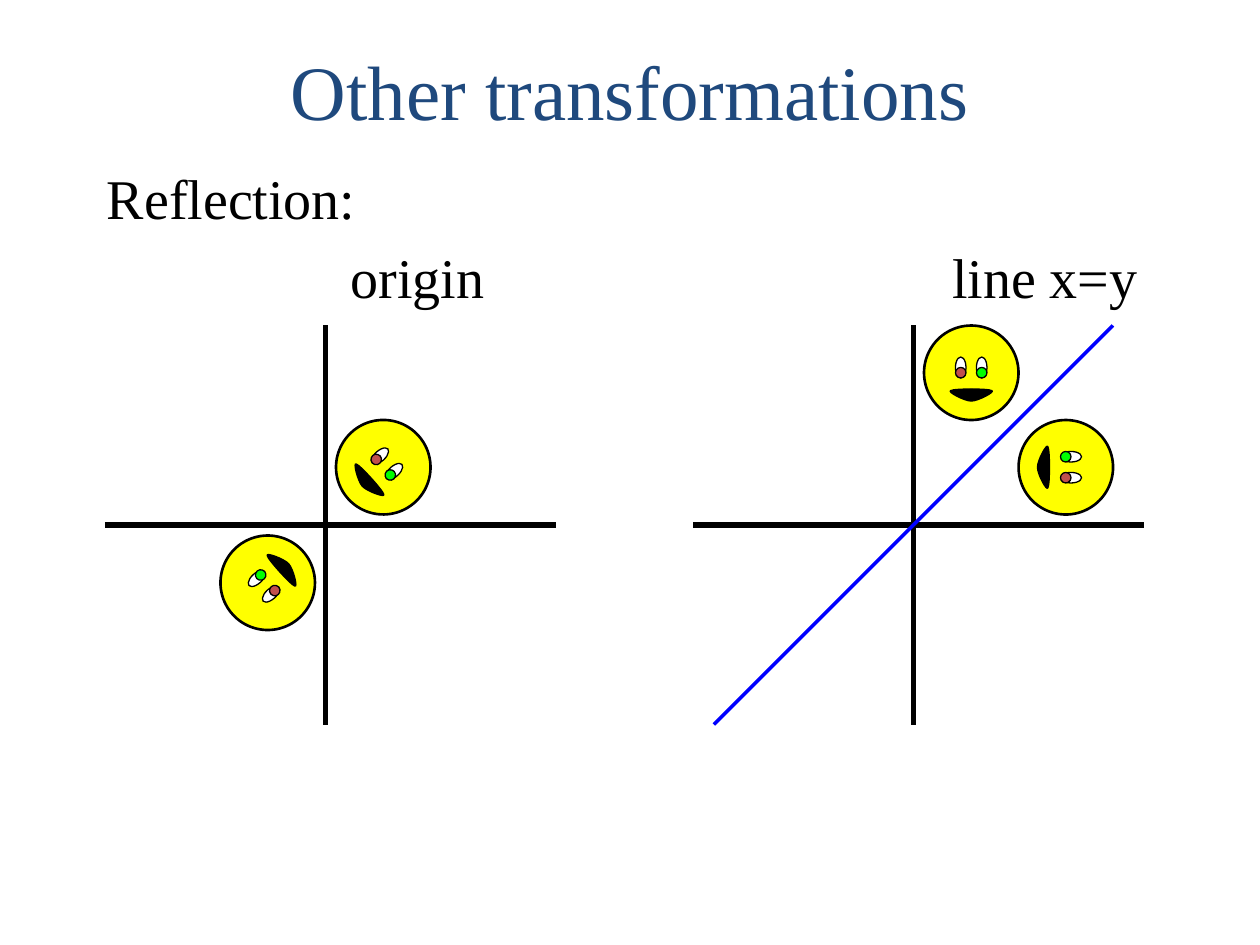
import math
from dataclasses import dataclass

from lxml import etree
from pptx import Presentation
from pptx import util as u
from pptx.dml.color import RGBColor
from pptx.enum import shapes, text
from pptx.oxml.ns import qn


@dataclass(frozen=True)
class Theme:
    font: str = "Times New Roman"
    title_size: int = 44
    body_size: int = 32
    title: str = "1F497D"
    ink: str = "000000"
    mirror: str = "0000FF"
    skin: str = "FFFF00"
    eye: str = "FFFFFF"
    left_pupil: str = "C0504D"
    right_pupil: str = "00FF00"


theme = Theme()
presentation = Presentation()
presentation.slide_width, presentation.slide_height = u.Inches(10), u.Inches(7.5)
CELL = presentation.slide_width // 120  # the slide is a grid of 120 columns by 90 rows
slide = presentation.slides.add_slide(presentation.slide_layouts[5])


def add_line(parent, start, end, color, width):
    line = parent.add_connector(
        shapes.MSO_CONNECTOR.STRAIGHT, *(round(value * CELL) for value in (*start, *end)))
    line.line.color.rgb = RGBColor.from_string(color)
    line.line.width = u.Pt(width)
    etree.SubElement(line._element.spPr, qn("a:effectLst"))


def add_mouth(parent, column, row):
    """Draw an upright mouth centred on a grid point, as three cubic curves."""
    points = [((column + x) * CELL, (row + y) * CELL) for x, y in MOUTH_POINTS]
    builder = parent.build_freeform(*points[0])
    builder.add_line_segments(points[1:], close=True)
    mouth = builder.convert_to_shape()
    segments = list(mouth._element.iter(qn("a:lnTo")))
    for first in range(0, 9, 3):
        curve = etree.Element(qn("a:cubicBezTo"))
        segments[first].addprevious(curve)
        for segment in segments[first:first + 3]:
            curve.append(segment[0])
            segment.getparent().remove(segment)
    return mouth


# Title
title = slide.shapes.title
title.left, title.top, title.width, title.height = (
    round(value * CELL) for value in (9, 4, 102, 9))
title.text_frame.text = "Other transformations"
title.text_frame.vertical_anchor = text.MSO_ANCHOR.MIDDLE
title_paragraph = title.text_frame.paragraphs[0]
title_paragraph.alignment = text.PP_ALIGN.CENTER
title_paragraph.font.name = theme.font
title_paragraph.font.size = u.Pt(theme.title_size)
title_paragraph.font.color.rgb = RGBColor.from_string(theme.title)

# Heading and the two diagram labels, placed by tab stops
body = slide.shapes.add_textbox(*(round(value * CELL) for value in (9, 15, 102, 65)))
body.text_frame.word_wrap = True
body.text_frame.text = "Reflection:\n\torigin\tline x=y"
heading, labels = body.text_frame.paragraphs
labels.space_before = u.Pt(6.4)
tab_list = etree.SubElement(labels._p.get_or_add_pPr(), qn("a:tabLst"))
for column in (23.2, 80.5):
    etree.SubElement(tab_list, qn("a:tab"), pos=str(round(column * CELL)), algn="l")
for paragraph in (heading, labels):
    for run in paragraph.runs:
        run.font.name = theme.font
        run.font.size = u.Pt(theme.body_size)
        run.font.color.rgb = RGBColor.from_string(theme.ink)

# Axes
for origin in (31, 87):
    axes = slide.shapes.add_group_shape().shapes
    add_line(axes, (origin, 31), (origin, 69), theme.ink, 3)
    add_line(axes, (origin - 21, 50), (origin + 22, 50), theme.ink, 3)

# One upright face, measured in cells from its centre: x, y, width, height, fill, outline.
# The mouth has no width or height, its size comes from its curves.
FACE_PARTS = (
    (0, 0, 9, 9, theme.skin, 1.5),
    (0, 2.1, None, None, theme.ink, 0.75),
    (-1, -0.5, 1, 2, theme.eye, 0.75),
    (1, -0.5, 1, 2, theme.eye, 0.75),
    (-1, 0, 1, 1, theme.left_pupil, 0.75),
    (1, 0, 1, 1, theme.right_pupil, 0.75),
)
# Start point, then two control points and an end point for each curve
MOUTH_POINTS = (
    (-1.95, -0.4),
    (-2.35, -0.3), (-0.65, 0.6), (0, 0.6),
    (0.65, 0.6), (2.35, -0.3), (1.95, -0.4),
    (1.6, -0.6), (-1.6, -0.6), (-1.95, -0.4),
)

# Each face: centre column, centre row, rotation, and -1 when it is mirrored
FACES = (
    (36.5, 44.5, 47.8, 1),
    (92.5, 35.5, 0, 1),
    (25.5, 55.5, 227.8, 1),
    (101.5, 44.5, 90, -1),
)
for column, row, angle, mirror in FACES:
    if mirror < 0:
        add_line(slide.shapes, (68, 69), (106, 31), theme.mirror, 2)
    face = slide.shapes.add_group_shape().shapes
    cosine, sine = math.cos(math.radians(angle)), math.sin(math.radians(angle))
    for x, y, width, height, fill, outline in FACE_PARTS:
        center_x = column + mirror * x * cosine - y * sine
        center_y = row + mirror * x * sine + y * cosine
        if width is None:
            part = add_mouth(face, center_x, center_y)
        else:
            part = face.add_shape(shapes.MSO_SHAPE.OVAL, *(
                round(value * CELL)
                for value in (center_x - width / 2, center_y - height / 2, width, height)))
        part.rotation = angle
        part.shadow.inherit = False
        part.fill.solid()
        part.fill.fore_color.rgb = RGBColor.from_string(fill)
        part.line.color.rgb = RGBColor.from_string(theme.ink)
        part.line.width = u.Pt(outline)

presentation.save("out.pptx")
